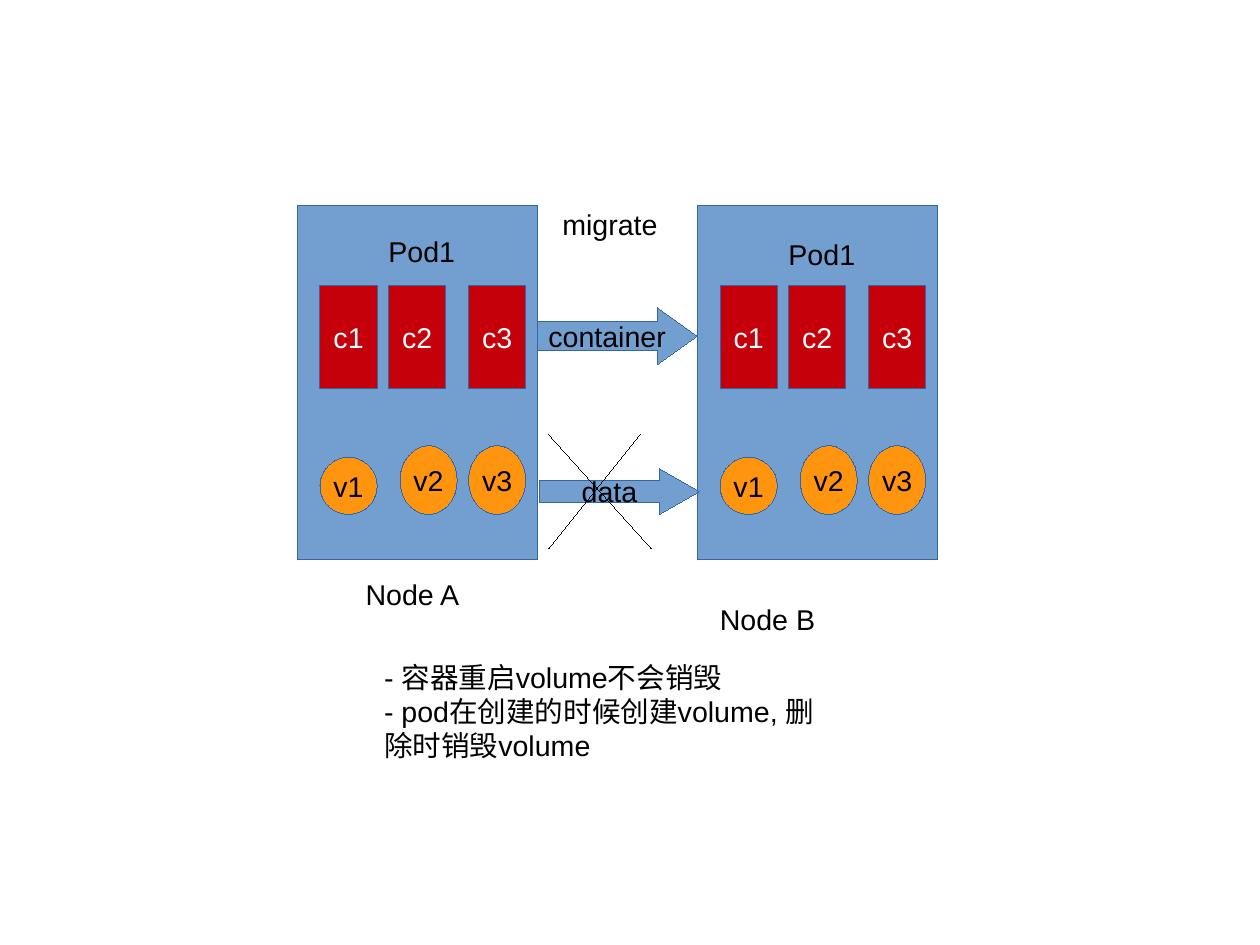
"""Build a slide showing a pod's containers migrating between nodes without their data."""
import pptx
import pptx.util
import pptx.dml.color
import pptx.enum.shapes
import pptx.enum.text
import pptx.oxml.ns
import lxml.etree

SHAPE = pptx.enum.shapes.MSO_SHAPE
ALIGN = pptx.enum.text.PP_ALIGN
ANCHOR = pptx.enum.text.MSO_ANCHOR

COLORS = {"node": "729FCF", "container": "C5000B", "volume": "FF950E",
          "edge": "3465A4", "dark": "000000", "light": "FFFFFF"}
FONT, TEXT_SIZE = "Arial", 18
SLIDE_CM = (28, 21)
CELL = 0.1

HEADING = ("migrate", (48.2, 17.6, 14, 3.8))
NOTES = (["- 容器重启volume不会销毁",
          "- pod在创建的时候创建volume, 删除时销毁volume"], (32.6, 57.2, 40.4, 11.8))
NODE_LEFTS, NODE_TOP, NODE_SIZE = (26, 61), 18, (21, 31)
POD_PARTS = [
    ("c1", "container", (2, 7, 5, 9)),
    ("c2", "container", (8, 7, 5, 9)),
    ("c3", "container", (15, 7, 5, 9)),
    ("v1", "volume", (2, 22, 5, 5)),
    ("v2", "volume", (9, 21, 5, 6)),
    ("v3", "volume", (15, 21, 5, 6)),
]
PART_STYLES = {"container": (SHAPE.RECTANGLE, "light"), "volume": (SHAPE.OVAL, "dark")}
ARROWS = [("container", (47, 26.9, 14, 5), 0.7), ("data", (47.2, 41, 14, 4), 0.875)]
CROSS = [(48, 38, 57, 48), (56, 38, 48, 48)]
LABELS = [
    ("Node A", (31, 50, 12, 3.8)),
    ("Node B", (62, 52.2, 12, 3.8)),
    ("Pod1", (33, 20, 8, 3.8)),
    ("Pod1", (68, 20.2, 8, 3.8)),
]


def grid(cells):
    return [pptx.util.Inches(round(count * CELL, 2)) for count in cells]


def rgb(name):
    return pptx.dml.color.RGBColor.from_string(COLORS[name])


def write(box, lines, color="dark", align=ALIGN.LEFT, anchor=ANCHOR.TOP, wrap=True):
    frame = box.text_frame
    frame.text = "\n".join(lines)
    frame.word_wrap = wrap
    frame.auto_size = pptx.enum.text.MSO_AUTO_SIZE.NONE
    frame.vertical_anchor = anchor
    for para in frame.paragraphs:
        para.alignment = align
        for span in para.runs:
            span.font.name = FONT
            span.font.size = pptx.util.Pt(TEXT_SIZE)
            span.font.color.rgb = rgb(color)


def place(box, cells):
    box.left, box.top, box.width, box.height = grid(cells)


def remove_bullets(box):
    for para in box.text_frame.paragraphs:
        para.space_before = pptx.util.Pt(0)
        properties = para._p.get_or_add_pPr()
        properties.set("marL", "0")
        properties.set("indent", "0")
        lxml.etree.SubElement(properties, pptx.oxml.ns.qn("a:buNone"))


def draw_hairline(shape, color):
    shape.line.color.rgb = rgb(color)
    shape._element.spPr.find(pptx.oxml.ns.qn("a:ln")).set("w", "0")


def add_block(page, kind, cells, fill, text="", color="dark"):
    box = page.shapes.add_shape(kind, *grid(cells))
    box.shadow.inherit = False
    box.fill.solid()
    box.fill.fore_color.rgb = rgb(fill)
    draw_hairline(box, "edge")
    if text:
        write(box, [text], color, ALIGN.CENTER, ANCHOR.MIDDLE, wrap=False)
    return box


def add_node(page, left):
    add_block(page, SHAPE.RECTANGLE, (left, NODE_TOP, *NODE_SIZE), "node")
    for text, style, (column, row, width, height) in POD_PARTS:
        kind, color = PART_STYLES[style]
        cells = (left + column, NODE_TOP + row, width, height)
        add_block(page, kind, cells, style, text, color)


def add_stroke(page, cells):
    stroke = page.shapes.add_connector(pptx.enum.shapes.MSO_CONNECTOR.STRAIGHT, *grid(cells))
    draw_hairline(stroke, "dark")
    lxml.etree.SubElement(stroke._element.spPr, pptx.oxml.ns.qn("a:effectLst"))


def main():
    deck = pptx.Presentation()
    deck.slide_width, deck.slide_height = map(pptx.util.Cm, SLIDE_CM)
    page = deck.slides.add_slide(deck.slide_layouts[1])

    heading, notes = page.shapes.title, page.placeholders[1]
    place(heading, HEADING[1])
    write(heading, [HEADING[0]])
    place(notes, NOTES[1])
    write(notes, NOTES[0])
    remove_bullets(notes)

    for left in NODE_LEFTS:
        add_node(page, left)
    for text, cells, head in ARROWS:
        arrow = add_block(page, SHAPE.RIGHT_ARROW, cells, "node", text)
        arrow.adjustments[0] = 0.5
        arrow.adjustments[1] = head
    for cells in CROSS:
        add_stroke(page, cells)
    for text, cells in LABELS:
        write(page.shapes.add_textbox(*grid(cells)), [text])

    deck.save("out.pptx")


if __name__ == "__main__":
    main()
